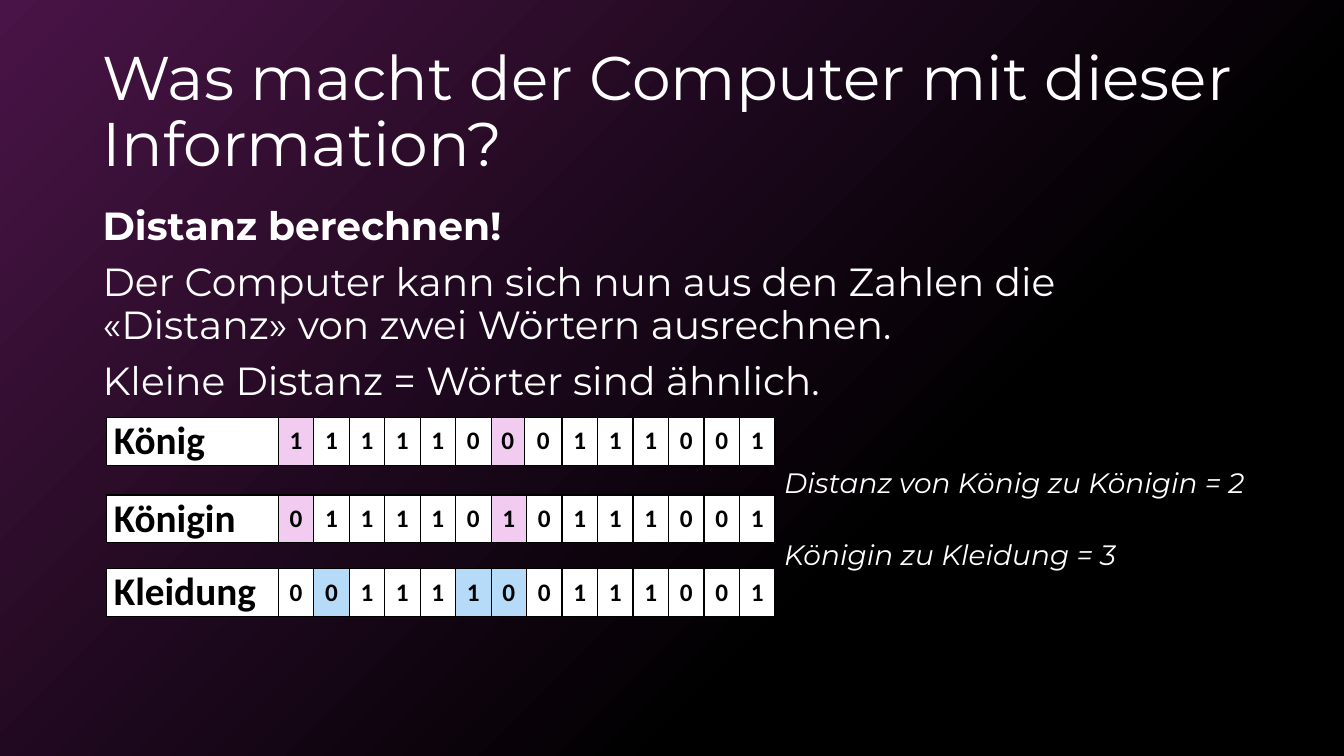
from dataclasses import dataclass

from lxml.etree import SubElement
from pptx import Presentation
from pptx.dml.color import RGBColor
from pptx.enum.text import MSO_ANCHOR as Anchor, MSO_AUTO_SIZE as AutoSize, PP_ALIGN as Align
from pptx.oxml.ns import qn
from pptx.util import Inches, Pt

SLIDE_WIDTH, SLIDE_HEIGHT = Inches(13.33), Inches(7.5)
WHITE, BLACK, PURPLE, PINK, BLUE = "FFFFFF", "000000", "491447", "F1CCF0", "B5DBF8"
LABEL_WIDTH, WORD_WIDTH, WORD_HEIGHT = 12.75, 49.74, 6.27
LIGHT = {"name": "Montserrat", "bold": False, "italic": False}
DARK = {"name": "Calibri", "bold": True, "italic": False}
SPACED = {"line_spacing": 0.9, "alignment": Align.LEFT}


@dataclass(frozen=True)
class Box:
    """A place given in percent of the slide's width and height."""
    left: float
    top: float
    width: float
    height: float

    def lengths(self) -> tuple:
        return across(self.left), down(self.top), across(self.width), down(self.height)


@dataclass(frozen=True)
class Word:
    """A word, its bits, the word it is compared with and its row on the slide."""
    label: str
    bits: str
    compared_bits: str
    top: float
    mark: str
    seam: float = 0


@dataclass(frozen=True)
class Passage:
    """Paragraphs of one text box, each with its own font changes."""
    box: Box
    size: int
    paragraphs: tuple


KOENIG, KOENIGIN, KLEIDUNG = "11111000111001", "01111010111001", "00111100111001"
WORDS = (
    Word("König", KOENIG, KOENIGIN, 55.2, PINK, 0.18),
    Word("Königin", KOENIGIN, KOENIG, 65.47, PINK),
    Word("Kleidung", KLEIDUNG, KOENIGIN, 75.2, BLUE),
)
TITLE = Passage(Box(6.9, 5.33, 86.25, 19.33), 44,
                (("Was macht der Computer mit dieser Information?", {}),))
PASSAGES = (
    Passage(Box(6.9, 26.67, 86.25, 63.47), 28, (
        ("Distanz berechnen!", {"bold": True}),
        ("Der Computer kann sich nun aus den Zahlen die "
         "«Distanz» von zwei Wörtern ausrechnen.", {}),
        ("Kleine Distanz = Wörter sind ähnlich.", {}),
    )),
    Passage(Box(57.61, 61.47, 38.18, 8.67), 20,
            (("Distanz von König zu Königin = 2", {"italic": True}),)),
    Passage(Box(57.61, 70.93, 38.18, 8.67), 20,
            (("Königin zu Kleidung = 3", {"italic": True}),)),
)


def across(percent: float) -> int:
    """Turn a share of the slide's width into a length."""
    return round(SLIDE_WIDTH * percent / 100)


def down(percent: float) -> int:
    """Turn a share of the slide's height into a length."""
    return round(SLIDE_HEIGHT * percent / 100)


def colour(value: str) -> RGBColor:
    """Read a colour from its hex string."""
    return RGBColor.from_string(value)


def assign(target, values: dict) -> None:
    """Set every attribute named in the dict."""
    for attribute, value in values.items():
        setattr(target, attribute, value)


def style_font(font, values: dict, size: int, ink: str) -> None:
    """Format a font and give it its size and colour."""
    assign(font, {**values, "size": Pt(size)})
    font.color.rgb = colour(ink)


def write(frame, passage: Passage, anchor: Anchor) -> None:
    """Fill a text frame with the paragraphs of a passage."""
    assign(frame, {"word_wrap": True, "auto_size": AutoSize.NONE, "vertical_anchor": anchor})
    for index, (text, changes) in enumerate(passage.paragraphs):
        paragraph = frame.add_paragraph() if index else frame.paragraphs[0]
        assign(paragraph, {**SPACED, "space_before": Pt(10 if index else 0)})
        run = paragraph.add_run()
        run.text = text
        style_font(run.font, {**LIGHT, **changes}, passage.size, WHITE)


def fill_cell(cell, text: str, size: int, alignment: Align, background: str) -> None:
    """Write a bordered, filled cell."""
    assign(cell, {"margin_left": Inches(0.07), "margin_right": Inches(0.07), "margin_top": 0,
                  "margin_bottom": 0, "vertical_anchor": Anchor.MIDDLE})
    properties = cell._tc.get_or_add_tcPr()
    for side in ("a:lnL", "a:lnR", "a:lnT", "a:lnB"):
        border = SubElement(properties, qn(side), w=str(Pt(1)))
        SubElement(SubElement(border, qn("a:solidFill")), qn("a:srgbClr"), val=BLACK)
    cell.fill.solid()
    cell.fill.fore_color.rgb = colour(background)
    paragraph = cell.text_frame.paragraphs[0]
    paragraph.alignment = alignment
    run = paragraph.add_run()
    run.text = text
    style_font(run.font, DARK, size, BLACK)


def draw_word(slide, word: Word) -> None:
    """Draw a word and its bits, marking the bits that differ."""
    bit_count = len(word.bits)
    box = Box(7.95, word.top, WORD_WIDTH, WORD_HEIGHT)
    table = slide.shapes.add_table(1, bit_count + 1, *box.lengths()).table
    assign(table, {"first_row": False, "horz_banding": False})
    widths = [LABEL_WIDTH] + [(WORD_WIDTH - LABEL_WIDTH) / bit_count] * bit_count
    widths[7] -= word.seam
    widths[8] += word.seam
    for column, width in zip(table.columns, widths):
        column.width = across(width)
    fill_cell(table.cell(0, 0), word.label, 28, Align.LEFT, WHITE)
    for index, (bit, other) in enumerate(zip(word.bits, word.compared_bits), 1):
        background = WHITE if bit == other else word.mark
        fill_cell(table.cell(0, index), bit, 18, Align.CENTER, background)


def paint_background(slide) -> None:
    """Fade the background from purple at the top left to black."""
    fill = slide.background.fill
    fill.gradient()
    fill.gradient_angle = 315
    for stop, (position, shade) in zip(fill.gradient_stops, ((0, PURPLE), (0.68, BLACK))):
        stop.position = position
        stop.color.rgb = colour(shade)


def main() -> None:
    """Build the slide and save it."""
    deck = Presentation()
    assign(deck, {"slide_width": SLIDE_WIDTH, "slide_height": SLIDE_HEIGHT})
    slide = deck.slides.add_slide(deck.slide_layouts[5])
    paint_background(slide)
    title = slide.shapes.title
    assign(title, dict(zip(("left", "top", "width", "height"), TITLE.box.lengths())))
    write(title.text_frame, TITLE, Anchor.MIDDLE)
    for passage in PASSAGES:
        textbox = slide.shapes.add_textbox(*passage.box.lengths())
        write(textbox.text_frame, passage, Anchor.TOP)
    for word in WORDS:
        draw_word(slide, word)
    deck.save("out.pptx")


if __name__ == "__main__":
    main()
